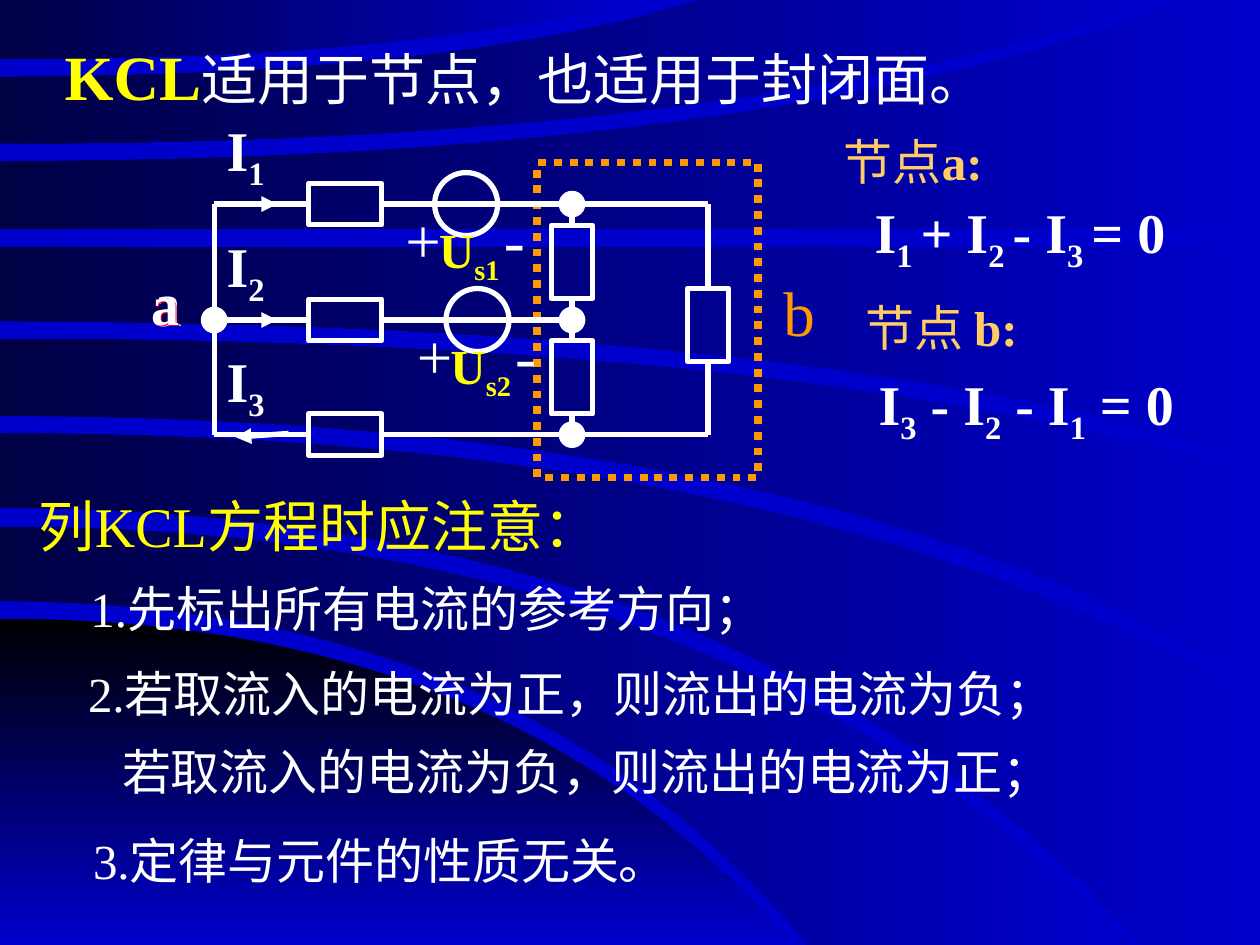
import pptx
import pptx.util
import pptx.dml.color
import pptx.enum.dml
import pptx.enum.shapes
import pptx.enum.text
import pptx.oxml.ns
from lxml import etree

RGB = pptx.dml.color.RGBColor
Inches = pptx.util.Inches
Pt = pptx.util.Pt
Shape = pptx.enum.shapes.MSO_SHAPE
qn = pptx.oxml.ns.qn

WHITE = RGB(0xFF, 0xFF, 0xFF)
YELLOW = RGB(0xFF, 0xFF, 0x00)
ORANGE = RGB(0xFF, 0x99, 0x00)
SAND = RGB(0xFF, 0xCC, 0x66)
RED = RGB(0xF4, 0x00, 0x2E)
BLACK = RGB(0x00, 0x00, 0x00)
NAVY = RGB(0x00, 0x00, 0x44)
BLUE = RGB(0x00, 0x00, 0xCC)
FONT = "Times New Roman"

TITLE = [("KCL", 36, YELLOW, True), ("适用于节点，也适用于封闭面。", 32, WHITE, False)]
NOTES = [
    (0.21, 3.85, "列KCL方程时应注意：", 32, YELLOW),
    (0.62, 4.54, "1.先标出所有电流的参考方向；", 28, WHITE),
    (0.64, 6.54, "3.定律与元件的性质无关。", 28, WHITE),
]
SIGN_RULE = ["2.若取流入的电流为正，则流出的电流为负；", "若取流入的电流为负，则流出的电流为正；"]
NODE_HEADINGS = [(6.6, 0.99, "节点", "a:"), (6.77, 2.31, "节点 ", "b:")]
EQUATIONS = [(6.77, 1.56, "I|1 |+ I|2 |- I|3 |= 0"), (6.82, 2.92, "I|3| - I|2| - I|1| = 0")]
NODE_A = [(1.12, 2.04, 36, WHITE, ""), (1.11, 2.1, 32, RED, "bold"), (1.1, 2.09, 32, WHITE, "bold")]

ROWS = TOP, MIDDLE, BOTTOM = 1.62, 2.54, 3.45
LEFT, INNER, RIGHT = 1.7, 4.54, 5.62
RESISTOR_X = 2.74
LONG, SHORT = 0.58, 0.33
UPRIGHT_RESISTORS = [(INNER, (TOP + MIDDLE) / 2, TOP, MIDDLE),
                     (INNER, (MIDDLE + BOTTOM) / 2, MIDDLE, BOTTOM),
                     (RIGHT, 2.58, TOP, BOTTOM)]
VOLTAGE_SOURCES = [(3.7, TOP, "U|s1"), (3.79, MIDDLE, "U|s2")]
CURRENT_ARROWS = [(1.79, TOP, 2.2, TOP), (1.79, MIDDLE, 2.2, MIDDLE), (2.29, 3.44, 1.87, 3.47)]

BANDS = [
    ((4.91, 6.28, 7.5), (7.5, 0, 7.5), []),
    ((4.18, 8.93, 7.5), (4.77, 6.42, 7.5), []),
    ((3.44, 10, 5.6), (4.03, 9.09, 7.5), [(10, 7.5)]),
    ((2.69, 10, 3.79), (3.3, 10, 5.42), []),
    ((1.96, 10, 1.96), (2.55, 10, 3.64), []),
    ((1.28, 9.43, 0), (1.82, 10, 1.82), [(10, 0)]),
    ((0.61, 5.56, 0), (1.14, 9.17, 0), []),
    ((0, 5.01, 0), (0.47, 5.01, 0), []),
]
BEND = 0.65
STEPS = 24

deck = pptx.Presentation()
deck.slide_width, deck.slide_height = Inches(10), Inches(7.5)
slide = deck.slides.add_slide(deck.slide_layouts[6])
slide.background.fill.solid()
slide.background.fill.fore_color.rgb = BLUE


def arc(start_y, end_x, end_y):
    ratios = [step / STEPS for step in range(STEPS + 1)]
    return [(end_x * (2 * t * (1 - t) * BEND + t * t), start_y + (end_y - start_y) * t * t)
            for t in ratios]


def add_band(upper, lower, corner, start_colour, angle):
    outline = arc(*lower) + corner + arc(*upper)[::-1]
    points = [(Inches(x), Inches(y)) for x, y in outline]
    builder = slide.shapes.build_freeform(*points[0])
    builder.add_line_segments(points[1:])
    band = builder.convert_to_shape()
    band.shadow.inherit = False
    band.line.fill.background()
    band.fill.gradient()
    band.fill.gradient_angle = angle
    for stop, colour in zip(band.fill.gradient_stops, (start_colour, BLUE)):
        stop.color.rgb = colour


def add_part(kind, x, y, width, height, colour=WHITE, weight=3, filled=False):
    part = slide.shapes.add_shape(kind, Inches(x - width / 2), Inches(y - height / 2),
                                  Inches(width), Inches(height))
    part.shadow.inherit = False
    part.fill.background()
    if filled:
        part.fill.solid()
        part.fill.fore_color.rgb = colour
    part.line.color.rgb = colour
    part.line.width = Pt(weight)
    return part


def add_wire(ends, arrow=False):
    wire = slide.shapes.add_connector(pptx.enum.shapes.MSO_CONNECTOR.STRAIGHT, *map(Inches, ends))
    wire.line.color.rgb = WHITE
    wire.line.width = Pt(3)
    properties = wire._element.spPr
    if arrow:
        etree.SubElement(properties.find(qn("a:ln")), qn("a:tailEnd"), type="triangle")
    etree.SubElement(properties, qn("a:effectLst"))


def add_box(place, style=""):
    frame = slide.shapes.add_textbox(*map(Inches, place)).text_frame
    frame.word_wrap = "nowrap" not in style
    frame.auto_size = pptx.enum.text.MSO_AUTO_SIZE.SHAPE_TO_FIT_TEXT
    if "middle" in style:
        frame.vertical_anchor = pptx.enum.text.MSO_ANCHOR.MIDDLE
    if "centre" in style:
        frame.paragraphs[0].alignment = pptx.enum.text.PP_ALIGN.CENTER
    return frame


def add_run(paragraph, text, size, colour, bold=False):
    run = paragraph.add_run()
    run.text = text
    run.font.name, run.font.size, run.font.bold = FONT, Pt(size), bold
    run.font.color.rgb = colour
    return run


def add_label(place, text, size, colour, style=""):
    label = add_box(place, style).paragraphs[0]
    if "\t" in text:
        stops = etree.SubElement(label._p.get_or_add_pPr(), qn("a:tabLst"))
        etree.SubElement(stops, qn("a:tab"), pos=str(Inches(0.78)), algn="l")
    for position, piece in enumerate(text.split("|")):
        run = add_run(label, piece, size, colour, "bold" in style)
        if position % 2:
            run._r.get_or_add_rPr().set("baseline", "-25000")


for position, (upper, lower, corner) in enumerate(BANDS):
    add_band(upper, lower, corner, NAVY if position else BLACK, 0 if position else 270)

title = add_box((-0.08, 0.12, 8.5, 0.95), "middle centre").paragraphs[0]
for title_run in TITLE:
    add_run(title, *title_run)

surface = add_part(Shape.RECTANGLE, 5.14, 2.54, 1.75, 2.5, ORANGE, 4.5)
surface.line.dash_style = pptx.enum.dml.MSO_LINE.ROUND_DOT

add_wire((LEFT, TOP, LEFT, BOTTOM))
for number, row in enumerate(ROWS, 1):
    add_wire((RESISTOR_X - LONG / 2, row, LEFT, row))
    add_wire((RESISTOR_X + LONG / 2, row, INNER, row))
    add_part(Shape.RECTANGLE, RESISTOR_X, row, LONG, SHORT)
    add_part(Shape.OVAL, INNER, row, 0.17, 0.17, filled=True)
    add_label((LEFT, row - 0.75, 0.75, 0.63), f"I|{number}", 32, WHITE, "bold")
add_part(Shape.OVAL, LEFT, MIDDLE, 0.17, 0.17, filled=True)
for row in (TOP, BOTTOM):
    add_wire((INNER, row, RIGHT, row))
for x, y, above, below in UPRIGHT_RESISTORS:
    add_wire((x, above, x, y - LONG / 2))
    add_wire((x, y + LONG / 2, x, below))
    add_part(Shape.RECTANGLE, x, y, SHORT, LONG)
for x, row, voltage in VOLTAGE_SOURCES:
    add_part(Shape.OVAL, x, row, 0.5, 0.5)
    add_label((x - 0.58, row - 0.08, 1.2, 0.7), "+\t-", 36, WHITE)
    add_label((x - 0.5, row + 0.1, 1.05, 0.57), voltage, 28, YELLOW, "bold middle centre")
for arrow_ends in CURRENT_ARROWS:
    add_wire(arrow_ends, arrow=True)

for x, y, size, colour, weight in NODE_A:
    add_label((x, y, 0.42, 0.63), "a", size, colour, weight)
add_label((6.12, 2.12, 0.5, 0.7), "b", 36, ORANGE)
for x, y, word, letter in NODE_HEADINGS:
    heading = add_box((x, y, 2, 0.57), "middle").paragraphs[0]
    add_run(heading, word, 28, SAND)
    add_run(heading, letter, 28, SAND, True)
for x, y, equation in EQUATIONS:
    add_label((x, y, 2.65, 0.63), equation, 32, WHITE, "bold middle centre nowrap")

for x, y, sentence, size, colour in NOTES:
    add_label((x, y, 6.44, 0.6), sentence, size, colour)
rule_frame = add_box((0.6, 5.27, 8.91, 1.18))
first, second = rule_frame.paragraphs[0], rule_frame.add_paragraph()
second._p.get_or_add_pPr().set("indent", str(Inches(0.27)))
second.space_before = Pt(14)
for paragraph, sentence in zip((first, second), SIGN_RULE):
    paragraph.line_spacing = 0.9
    add_run(paragraph, sentence, 28, WHITE)

deck.save("out.pptx")
